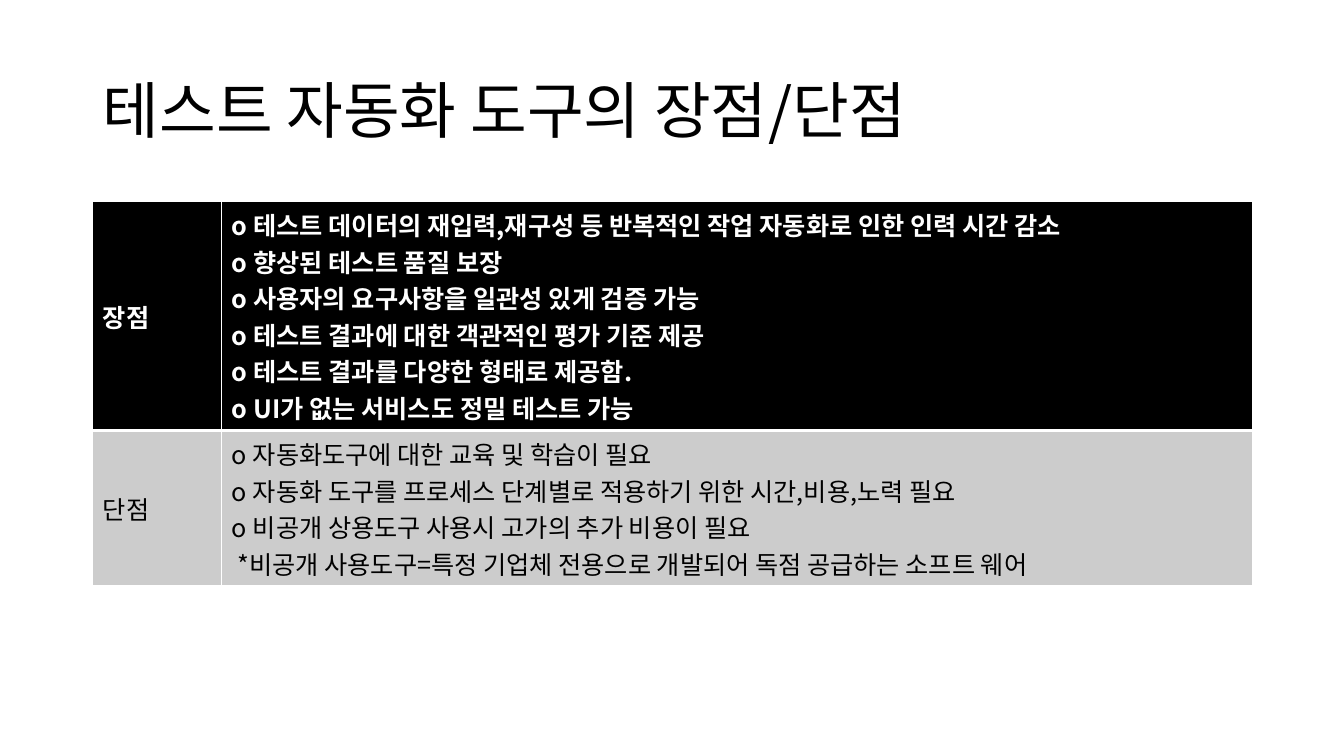
from lxml.etree import SubElement
from pptx import Presentation
from pptx.dml.color import RGBColor
from pptx.enum.text import MSO_ANCHOR
from pptx.oxml.ns import qn
from pptx.util import Inches, Pt

BLACK = RGBColor(0x00, 0x00, 0x00)
WHITE = RGBColor(0xFF, 0xFF, 0xFF)
GRAY = RGBColor(0xCC, 0xCC, 0xCC)
FONT = "Noto Sans CJK KR"

ADVANTAGES = [
    "o 테스트 데이터의 재입력,재구성 등 반복적인 작업 자동화로 인한 인력 시간 감소",
    "o 향상된 테스트 품질 보장",
    "o 사용자의 요구사항을 일관성 있게 검증 가능",
    "o 테스트 결과에 대한 객관적인 평가 기준 제공",
    "o 테스트 결과를 다양한 형태로 제공함.",
    "o UI가 없는 서비스도 정밀 테스트 가능",
]
DRAWBACKS = [
    "o 자동화도구에 대한 교육 및 학습이 필요",
    "o 자동화 도구를 프로세스 단계별로 적용하기 위한 시간,비용,노력 필요",
    "o 비공개 상용도구 사용시 고가의 추가 비용이 필요",
    " *비공개 사용도구=특정 기업체 전용으로 개발되어 독점 공급하는 소프트 웨어",
]
COLUMN_WIDTHS = [1.28, 10.22]
ROWS = [
    ("장점", ADVANTAGES, 2.27, BLACK, WHITE, True, {"L": 1, "R": 1, "T": 1, "B": 3}),
    ("단점", DRAWBACKS, 1.54, GRAY, BLACK, False, {"L": 1, "R": 1, "T": 3, "B": 1}),
]


def style_paragraph(paragraph, size, color, bold=False):
    """Set the font of a paragraph for Latin and Korean text."""
    font = paragraph.font
    font.name = FONT
    font.size = Pt(size)
    font.bold = bold
    font.color.rgb = color
    defaults = paragraph._p.pPr.find(qn("a:defRPr"))
    SubElement(defaults, qn("a:ea"), typeface=FONT)


def set_borders(cell, widths):
    """Draw white cell borders with the given widths in points."""
    properties = cell._tc.get_or_add_tcPr()
    for side, width in widths.items():
        line = SubElement(properties, qn(f"a:ln{side}"), w=str(Pt(width)))
        fill = SubElement(line, qn("a:solidFill"))
        SubElement(fill, qn("a:srgbClr"), val=str(WHITE))


def add_title(slide, text):
    """Add the slide title."""
    title = slide.shapes.add_textbox(Inches(0.92), Inches(0.4), Inches(11.5), Inches(1.45))
    frame = title.text_frame
    frame.word_wrap = True
    frame.vertical_anchor = MSO_ANCHOR.MIDDLE
    paragraph = frame.paragraphs[0]
    paragraph.text = text
    paragraph.line_spacing = 0.9
    style_paragraph(paragraph, 44, BLACK)


def fill_cell(cell, text, background, color, bold, borders):
    """Write and style one table cell."""
    set_borders(cell, borders)
    cell.fill.solid()
    cell.fill.fore_color.rgb = background
    cell.vertical_anchor = MSO_ANCHOR.MIDDLE
    paragraph = cell.text_frame.paragraphs[0]
    paragraph.text = text
    style_paragraph(paragraph, 18, color, bold)


def add_comparison(slide):
    """Add the table of advantages and drawbacks."""
    height = sum(row[2] for row in ROWS)
    table = slide.shapes.add_table(
        len(ROWS), len(COLUMN_WIDTHS),
        Inches(0.92), Inches(2), Inches(sum(COLUMN_WIDTHS)), Inches(height),
    ).table
    table.horz_banding = False
    for column, width in zip(table.columns, COLUMN_WIDTHS):
        column.width = Inches(width)
    for index, (label, points, row_height, *style) in enumerate(ROWS):
        table.rows[index].height = Inches(row_height)
        fill_cell(table.cell(index, 0), label, *style)
        fill_cell(table.cell(index, 1), "\v".join(points), *style)


def main():
    """Build and save the slide."""
    presentation = Presentation()
    presentation.slide_width = Inches(13.33)
    presentation.slide_height = Inches(7.5)
    slide = presentation.slides.add_slide(presentation.slide_layouts[6])
    add_title(slide, "테스트 자동화 도구의 장점/단점")
    add_comparison(slide)
    presentation.save("out.pptx")


if __name__ == "__main__":
    main()
